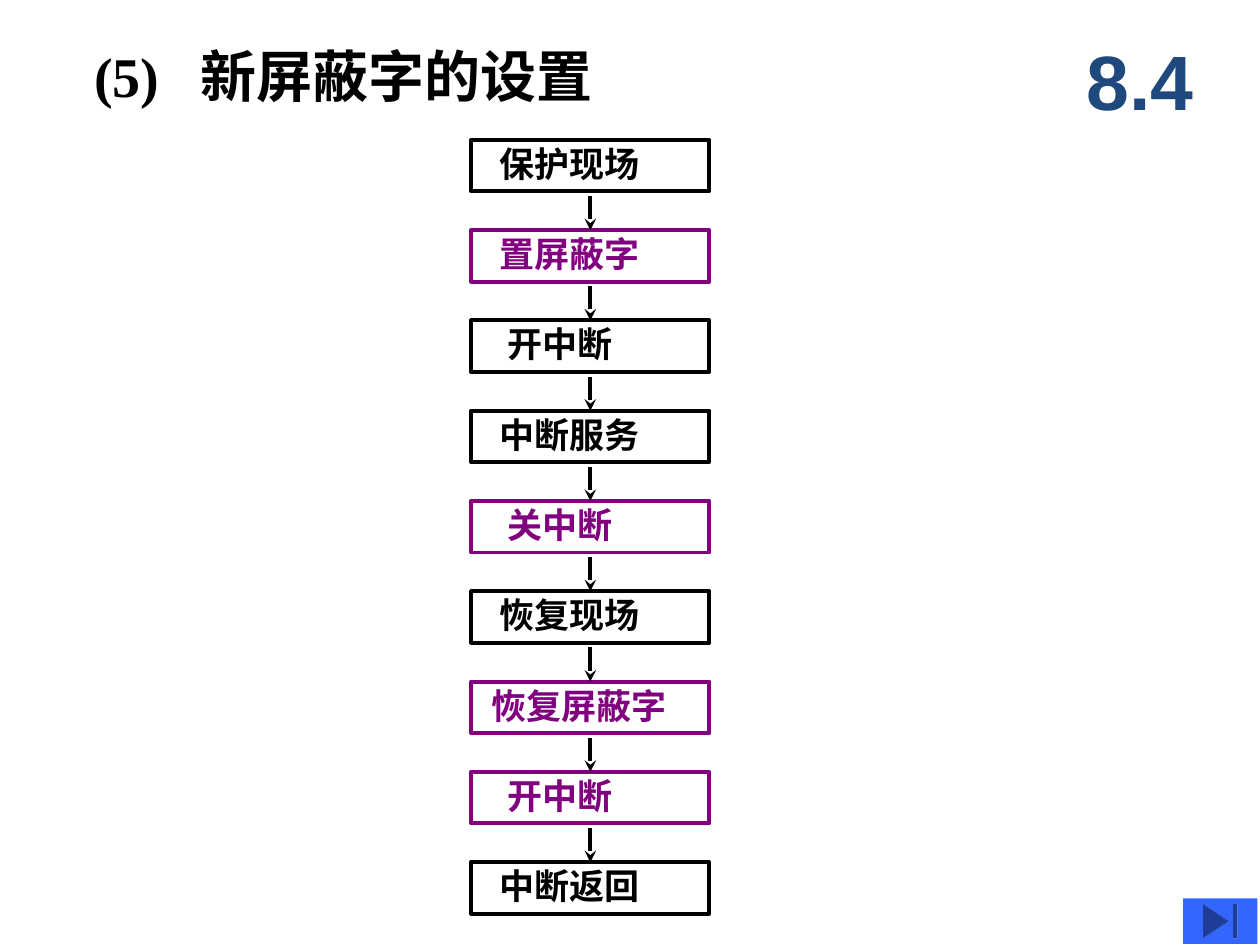
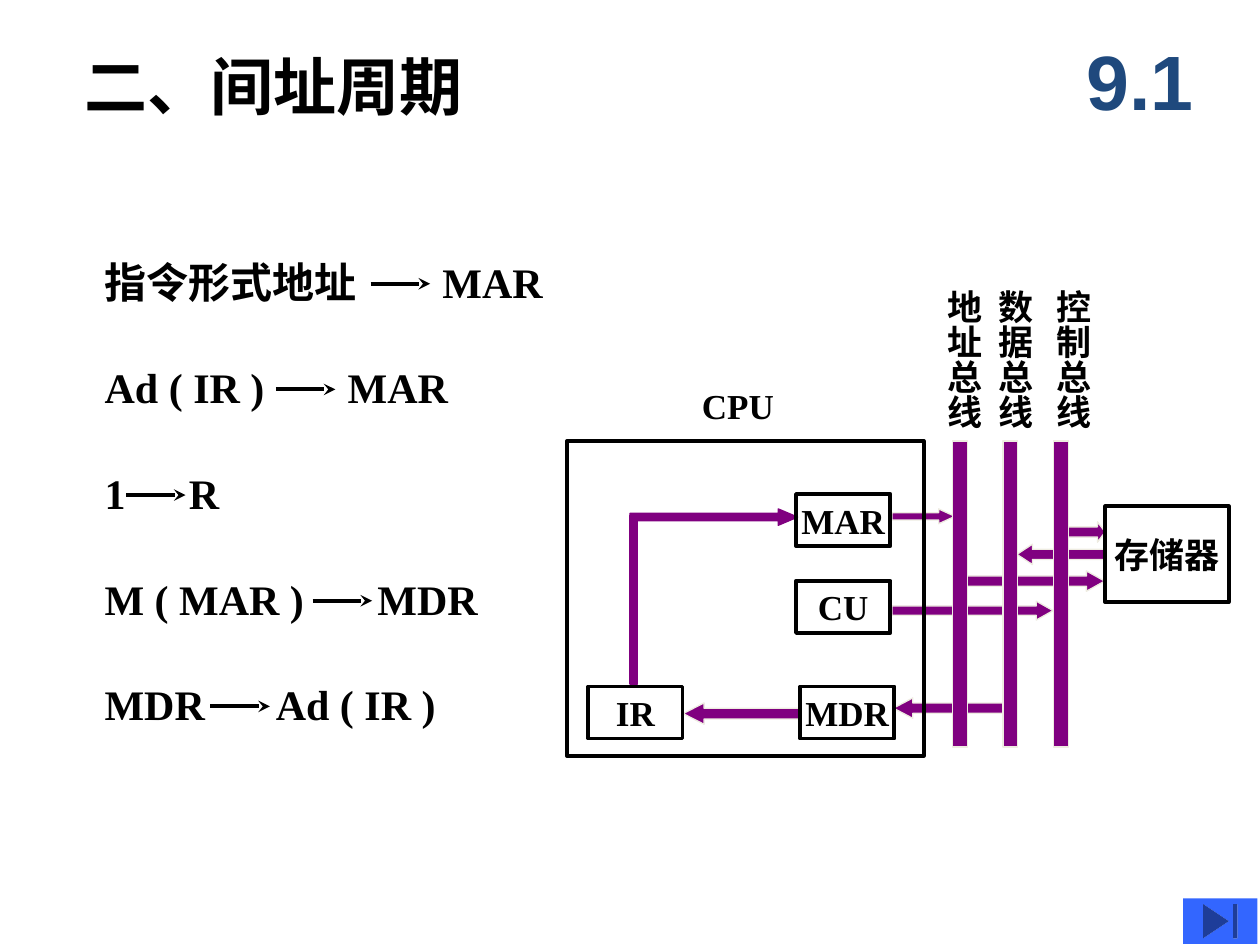
from lxml import etree
from pptx import Presentation
from pptx import util as u
from pptx.dml import color
from pptx.enum import shapes, text
from pptx.oxml import ns

BLACK, PURPLE, NAVY, BLUE, CREAM = "000000", "800080", "1F497D", "3366FF", "EEECE1"
SERIF, SANS, HAN = "Times New Roman", "Arial", "Noto Sans CJK SC"
KIND = shapes.MSO_SHAPE
LEFT, MID = text.PP_ALIGN.LEFT, text.PP_ALIGN.CENTER


def rgb(code):
    return color.RGBColor.from_string(code)


class Deck:
    """Holds the shared style and the current slide."""

    def __init__(self):
        self.prs = Presentation()
        self.prs.slide_width, self.prs.slide_height = u.Cm(25.4), u.Cm(19.05)

    def page(self, num, title, x, y, size, tab=None):
        self.slide = self.prs.slides.add_slide(self.prs.slide_layouts[6])
        self.label(num, 21.39, 0.43, 3.18, 2.34, 44, SANS, NAVY, MID)
        self.label(title, x, y, 18, 1.19, size, tab=tab)
        self.shape(KIND.ACTION_BUTTON_END, 23.85, 18.11, 1.5, 0.92, BLUE)

    def letter(self, shape, words, size, face=SERIF, ink=BLACK, align=LEFT,
               tab=None, inset=(0, 0, 0, 0), top=False):
        frame = shape.text_frame
        frame.word_wrap = True
        frame.vertical_anchor = text.MSO_ANCHOR.TOP if top else text.MSO_ANCHOR.MIDDLE
        (frame.margin_left, frame.margin_top,
         frame.margin_right, frame.margin_bottom) = map(u.Cm, inset)
        para = frame.paragraphs[0]
        para.text = words
        para.alignment = align
        if tab:
            tabs = etree.SubElement(para._p.get_or_add_pPr(), ns.qn("a:tabLst"))
            etree.SubElement(tabs, ns.qn("a:tab"), pos=str(int(u.Cm(tab))), algn="l")
        font = para.font
        font.size, font.bold, font.name = u.Pt(size), True, face
        font.color.rgb = rgb(ink)
        etree.SubElement(font._rPr, ns.qn("a:ea"), typeface=HAN)

    def label(self, words, x, y, w, h, size, face=SERIF, ink=BLACK, align=LEFT,
              tab=None):
        box = self.slide.shapes.add_textbox(*map(u.Cm, (x, y, w, h)))
        self.letter(box, words, size, face, ink, align, tab)

    def column(self, words, x, y):
        box = self.slide.shapes.add_textbox(*map(u.Cm, (x, y, 1.35, 3.2)))
        self.letter(box, words, 20, inset=(0.13, 0, 0.13, 0), top=True)
        box.text_frame._txBody.bodyPr.set("vert", "eaVert")

    def shape(self, kind, x, y, w, h, fill=None, line=None, width=0.75):
        item = self.slide.shapes.add_shape(kind, *map(u.Cm, (x, y, w, h)))
        item.shadow.inherit = False
        if fill:
            item.fill.solid()
            item.fill.fore_color.rgb = rgb(fill)
        else:
            item.fill.background()
        if line:
            item.line.color.rgb = rgb(line)
            item.line.width = u.Pt(width)
        else:
            item.line.fill.background()
        return item

    def box(self, x, y, w, h, words="", ink=BLACK, **style):
        item = self.shape(KIND.RECTANGLE, x, y, w, h, line=ink, width=2.25)
        if words:
            self.letter(item, words, 20, ink=ink, **style)
        return item

    def block(self, x, y, w, h, turn, neck, head, line=CREAM):
        item = self.shape(KIND.RIGHT_ARROW, x, y, w, h, PURPLE, line)
        item.adjustments[0], item.adjustments[1] = neck, head
        item.rotation = turn

    def arrow(self, x1, y1, x2, y2, goal=None):
        wire = self.slide.shapes.add_connector(
            shapes.MSO_CONNECTOR.STRAIGHT, *map(u.Cm, (x1, y1, x2, y2)))
        if goal is not None:
            wire.end_connect(goal, 0)
        wire.line.color.rgb = rgb(BLACK)
        wire.line.width = u.Pt(2.25)
        etree.SubElement(wire.line._get_or_add_ln(), ns.qn("a:tailEnd"), type="stealth")
        etree.SubElement(wire._element.spPr, ns.qn("a:effectLst"))


def flow(deck):
    deck.page("8.4", "(5)\t新屏蔽字的设置", 1.9, 0.91, 32, tab=2.14)
    steps = [("保护现场", 2, BLACK), ("置屏蔽字", 2, PURPLE), ("开中断", 3, BLACK),
             ("中断服务", 2, BLACK), ("关中断", 3, PURPLE), ("恢复现场", 2, BLACK),
             ("恢复屏蔽字", 1, PURPLE), ("开中断", 3, PURPLE), ("中断返回", 2, BLACK)]
    x, w = 9.5, 4.8
    for i, (words, shift, ink) in enumerate(steps):
        y = 2.82 + 1.82 * i
        step = deck.box(x, y, w, 1.04, words, ink, face=HAN, top=True,
                        inset=(0.25 + 0.16 * shift, 0.05, 0, 0.13))
        if i:
            deck.arrow(x + w / 2, y - 0.69, x + w / 2, y, step)


def cycle(deck):
    deck.page("9.1", "二、间址周期", 1.7, 1.12, 36)
    moves = [("指令形式地址\tMAR", 7.47, 6.81), ("Ad ( IR )\tMAR", 5.56, 4.9),
             ("1\tR", 2.54, 1.7), ("M ( MAR )\tMDR", 6.3, 5.5),
             ("MDR\tAd ( IR )", 4.24, 3.45)]
    for i, (words, x, tab) in enumerate(moves):
        y = 5.08 + 2.13 * i
        deck.label(words, 2.11, y, 12, 1.19, 24, tab=tab)
        deck.arrow(x, y + 0.64, x + 1.2, y + 0.64)

    for part in [(18.01, 14.07, 2.21, 0.41, 180, 0.5, 0.95),
                 (13.77, 14.17, 2.34, 0.43, 180, 0.5, 0.98),
                 (17.98, 12.12, 3.25, 0.38, 0, 0.49, 0.89),
                 (17.98, 10.26, 1.27, 0.3, 0, 0.49, 1.09),
                 (20.5, 10.97, 1.75, 0.41, 180, 0.5, 0.76),
                 (19.48, 11.51, 2.79, 0.41, 0, 0.5, 0.9),
                 (21.39, 10.52, 0.89, 0.41, 0, 0.5, 0.38),
                 (12.7, 10.26, 3.38, 0.33, 0, 0.46, 1.18, PURPLE)]:
        deck.block(*part)
    for stem in [(12.7, 10.39, 0.15, 3.4), (21.36, 10.59, 0.13, 0.25)]:
        deck.shape(KIND.RECTANGLE, *stem, PURPLE, PURPLE)

    deck.box(11.43, 8.89, 7.19, 6.35)
    deck.label("CPU", 14.15, 7.72, 2, 0.9, 20)
    for words, x, y in [("MAR", 16.05, 9.96), ("CU", 16.05, 11.71),
                        ("MDR", 16.13, 13.84), ("IR", 11.86, 13.84)]:
        deck.box(x, y, 1.9, 1.05, words, align=MID)
    deck.box(22.28, 10.21, 2.49, 1.93, "存储器", align=MID)

    buses = [("地址总线", 18.64), ("数据总线", 19.66), ("控制总线", 20.83)]
    for i, (words, x) in enumerate(buses):
        deck.shape(KIND.RECTANGLE, 19.2 + 1.02 * i, 8.89, 0.3, 6.17, PURPLE, CREAM)
        deck.column(words, x, 5.84)


def main():
    deck = Deck()
    flow(deck)
    cycle(deck)
    deck.prs.save("out.pptx")


if __name__ == "__main__":
    main()
